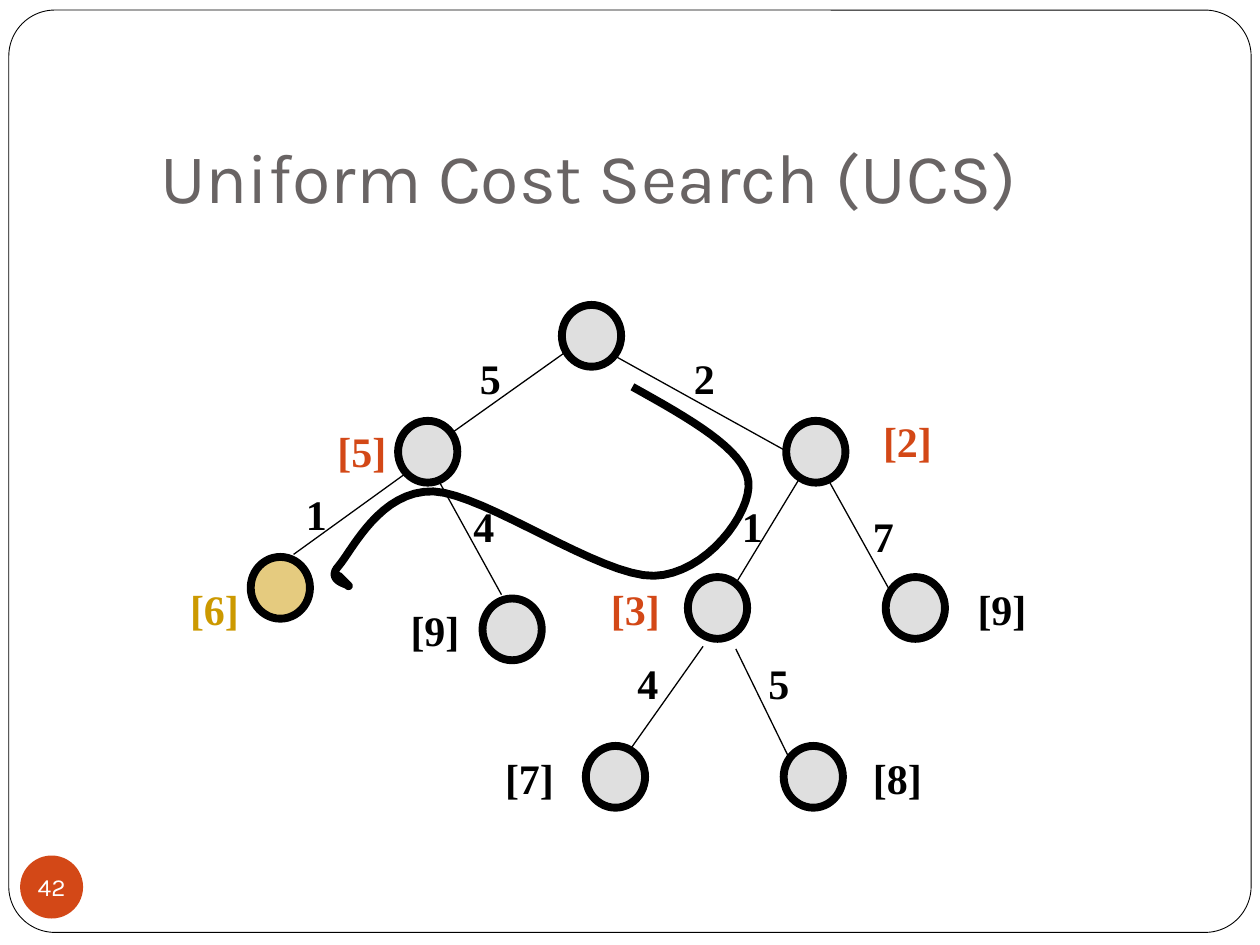
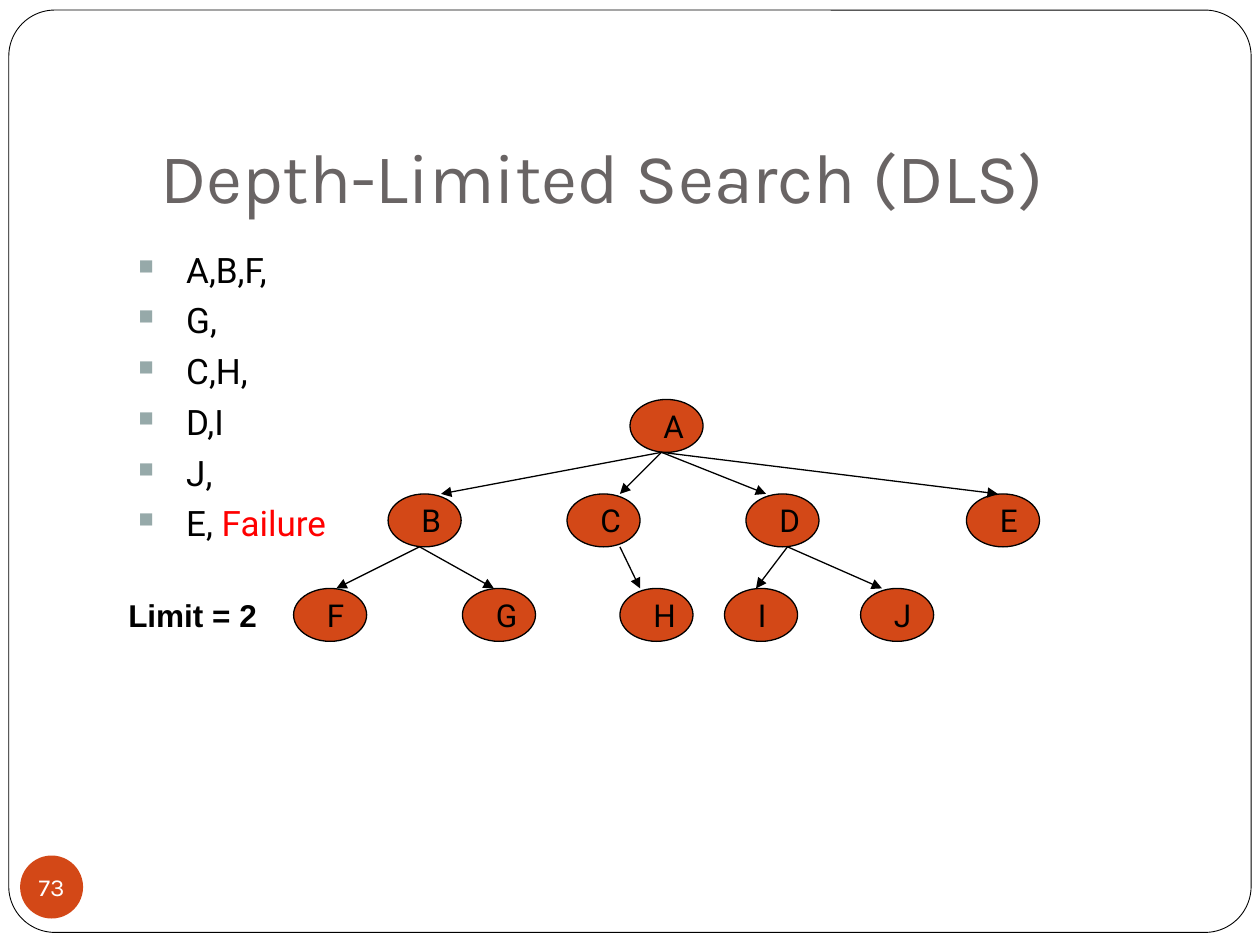
"""Builds two slides on tree search: uniform cost search and depth-limited search."""
import pptx
import pptx.dml.color
import pptx.enum.shapes
import pptx.enum.text
import pptx.oxml.ns
import pptx.util
from lxml import etree

RGB = pptx.dml.color.RGBColor
SHAPE = pptx.enum.shapes.MSO_SHAPE
ANCHOR = pptx.enum.text.MSO_ANCHOR
ALIGN = pptx.enum.text.PP_ALIGN
qn = pptx.oxml.ns.qn

BLACK = RGB(0x00, 0x00, 0x00)
WHITE = RGB(0xFF, 0xFF, 0xFF)
ORANGE = RGB(0xD3, 0x48, 0x17)
GOLD = RGB(0xCC, 0x99, 0x00)
SILVER = RGB(0xC0, 0xC0, 0xC0)
RED = RGB(0xFF, 0x00, 0x00)
TITLE_GRAY = RGB(0x69, 0x64, 0x64)
BULLET_GRAY = "96A9A9"

EMU_PER_PX = 9144
TITLE_INSETS = (10, 5, 10, 10)
TEXT_INSETS = (10, 5, 10, 5)
NO_INSETS = (0, 0, 0, 0)

COST_NODE = (47, 49)
COST_NODES = [
    (446, 242, SILVER), (316, 334, SILVER), (624, 334, SILVER),
    (703, 458, SILVER), (546, 458, SILVER), (622, 592, SILVER),
    (465, 592, SILVER), (199, 442, GOLD), (383, 475, SILVER),
]
COST_EDGES = [
    (448, 280, 358, 344), (635, 379, 584, 463), (658, 382, 707, 470),
    (487, 282, 624, 358), (558, 513, 500, 595), (584, 515, 626, 601),
    (323, 375, 233, 440), (349, 383, 398, 472),
]
STEP_COSTS = [
    ("2", 541, 275), ("5", 371, 275), ("1", 579, 392), ("7", 683, 400),
    ("4", 496, 517), ("5", 600, 517), ("1", 233, 383), ("4", 366, 392),
]
TOTAL_COSTS = [
    ("[5]", 258, 333, ORANGE), ("[2]", 691, 325, ORANGE),
    ("[9]", 766, 458, BLACK), ("[3]", 475, 458, ORANGE),
    ("[7]", 391, 592, BLACK), ("[8]", 683, 592, BLACK),
    ("[9]", 316, 475, BLACK), ("[6]", 141, 458, GOLD),
]
ROUTE_START = (502, 307)
ROUTE_CURVES = [
    ((547, 332), (591, 357), (594, 382)),
    ((597, 407), (560, 456), (519, 457)),
    ((477, 458), (385, 392), (344, 390)),
    ((302, 389), (280, 436), (269, 449)),
    ((258, 461), (277, 464), (277, 465)),
    ((277, 467), (269, 457), (269, 457)),
    ((269, 457), (276, 464), (277, 465)),
]
CURVE_STEPS = 16

VISITS = [
    [("A,B,F,", BLACK)], [("G,", BLACK)], [("C,H,", BLACK)],
    [("D,I", BLACK)], [("J,", BLACK)], [("E, ", BLACK), ("Failure", RED)],
]
DEPTH_NODE = (58, 42)
LEVEL_TOP, LEVEL_GAP = 317, 75
DEPTH_LEVELS = [
    {"A": 500},
    {"B": 308, "C": 450, "D": 592, "E": 767},
    {"F": 233, "G": 367, "H": 492, "I": 575, "J": 683},
]
DEPTH_EDGES = [
    [(525, 350), (525, 492), (525, 608), (525, 792)],
    [(333, 267), (333, 392), (492, 508), (625, 600), (625, 700)],
]


def px(length):
    """Turn px into EMU."""
    return pptx.util.Emu(round(length * EMU_PER_PX))


def add_span(para, text, font, size, color, bold=False):
    """Append one formatted run."""
    span = para.add_run()
    span.text = text
    span.font.name = font
    span.font.size = pptx.util.Pt(size)
    span.font.color.rgb = color
    span.font.bold = bold


def set_frame(box, insets, anchor=ANCHOR.TOP, wrap=True):
    """Set insets, anchor and wrapping, and return the text frame."""
    frame = box.text_frame
    frame.auto_size = pptx.enum.text.MSO_AUTO_SIZE.NONE
    frame.word_wrap = wrap
    frame.vertical_anchor = anchor
    (frame.margin_left, frame.margin_top,
     frame.margin_right, frame.margin_bottom) = map(px, insets)
    return frame


def add_box(page, place, wrap=True):
    """Add a text box and return its frame."""
    return set_frame(page.shapes.add_textbox(*map(px, place)), TEXT_INSETS, wrap=wrap)


def add_preset(page, kind, place, fill, line_width=0):
    """Add a filled preset shape, with a black outline if it has a width."""
    shape = page.shapes.add_shape(kind, *map(px, place))
    shape.shadow.inherit = False
    shape.fill.solid()
    shape.fill.fore_color.rgb = fill
    if line_width:
        shape.line.color.rgb = BLACK
        shape.line.width = pptx.util.Pt(line_width)
    else:
        shape.line.fill.background()
    return shape


def add_edge(page, ends, arrow=False):
    """Add a thin black line, with an arrowhead if asked."""
    edge = page.shapes.add_connector(
        pptx.enum.shapes.MSO_CONNECTOR.STRAIGHT, *map(px, ends))
    edge.line.color.rgb = BLACK
    edge.line.width = pptx.util.Pt(0.75)
    outline = edge.element.spPr.find(qn("a:ln"))
    if arrow:
        etree.SubElement(outline, qn("a:tailEnd"), type="triangle")
    etree.SubElement(edge.element.spPr, qn("a:effectLst"))


def add_page(deck, title, number):
    """Add a slide with the frame, title and number badge."""
    page = deck.slides.add_slide(deck.slide_layouts[5])
    border = add_preset(page, SHAPE.ROUNDED_RECTANGLE, (7, 8, 986, 732), WHITE, 0.5)
    border.adjustments[0] = 0.05
    page.shapes.element.insert(2, border.element)

    heading = page.shapes.title
    heading.left, heading.top, heading.width, heading.height = map(px, (117, 58, 850, 125))
    para = set_frame(heading, TITLE_INSETS, ANCHOR.BOTTOM).paragraphs[0]
    para.alignment = ALIGN.LEFT
    add_span(para, title, "Karla", 40, TITLE_GRAY)

    badge = add_preset(page, SHAPE.OVAL, (16, 679, 50, 50), ORANGE)
    para = set_frame(badge, NO_INSETS, ANCHOR.MIDDLE, wrap=False).paragraphs[0]
    para.alignment = ALIGN.CENTER
    add_span(para, number, "Karla", 14, WHITE)
    return page


def add_route(page):
    """Draw the thick curve that follows the order of expansion."""
    points = [ROUTE_START]
    for first, second, end in ROUTE_CURVES:
        start = points[-1]
        for step in range(1, CURVE_STEPS + 1):
            t = step / CURVE_STEPS
            weights = ((1 - t) ** 3, 3 * t * (1 - t) ** 2, 3 * t * t * (1 - t), t ** 3)
            corners = (start, first, second, end)
            points.append(tuple(
                sum(weight * corner[axis] for weight, corner in zip(weights, corners))
                for axis in (0, 1)))
    outline = [(px(x), px(y)) for x, y in points]
    builder = page.shapes.build_freeform(*outline[0])
    builder.add_line_segments(outline[1:], close=False)
    route = builder.convert_to_shape()
    route.shadow.inherit = False
    route.fill.background()
    route.line.color.rgb = BLACK
    route.line.width = pptx.util.Pt(4.5)


def add_cost_tree(page):
    """Draw the weighted tree with its costs and route."""
    for left, top, fill in COST_NODES:
        node = add_preset(page, SHAPE.OVAL, (left, top, *COST_NODE), fill, 4.5)
        color = node.element.spPr.find(qn("a:solidFill")).find(qn("a:srgbClr"))
        etree.SubElement(color, qn("a:alpha"), val="50000")
    for ends in COST_EDGES:
        add_edge(page, ends)
    labels = [(text, left, top, 36, BLACK) for text, left, top in STEP_COSTS]
    labels += [(text, left, top, 59, color) for text, left, top, color in TOTAL_COSTS]
    for text, left, top, width, color in labels:
        frame = add_box(page, (left, top, width, 50), wrap=False)
        add_span(frame.paragraphs[0], text, "Times New Roman", 24, color, True)
    add_route(page)


def add_visits(page):
    """List the visiting order with square bullets."""
    frame = add_box(page, (100, 192, 850, 92))
    for index, spans in enumerate(VISITS):
        para = frame.add_paragraph() if index else frame.paragraphs[0]
        if index:
            para.space_before = pptx.util.Pt(5)
        props = para._p.get_or_add_pPr()
        props.set("marL", str(px(38)))
        props.set("indent", str(px(-38)))
        color = etree.SubElement(props, qn("a:buClr"))
        etree.SubElement(color, qn("a:srgbClr"), val=BULLET_GRAY)
        etree.SubElement(props, qn("a:buSzPct"), val="60000")
        etree.SubElement(props, qn("a:buChar"), char="■")
        for text, shade in spans:
            add_span(para, text, "Roboto", 20, shade)


def add_depth_tree(page):
    """Draw the lettered tree, level by level."""
    width, height = DEPTH_NODE
    for level, nodes in enumerate(DEPTH_LEVELS):
        top = LEVEL_TOP + level * LEVEL_GAP
        for letter, left in nodes.items():
            node = add_preset(page, SHAPE.OVAL, (left, top, width, height), ORANGE, 0.75)
            frame = set_frame(node, (18, 0, 0, 0), ANCHOR.MIDDLE, wrap=True)
            frame.paragraphs[0].alignment = ALIGN.LEFT
            add_span(frame.paragraphs[0], letter, "Roboto", 18, BLACK)
    for level, edges in enumerate(DEPTH_EDGES):
        top = LEVEL_TOP + level * LEVEL_GAP
        for start, end in edges:
            add_edge(page, (start, top + height, end, top + LEVEL_GAP), arrow=True)


def main():
    """Build and save the deck."""
    deck = pptx.Presentation()
    deck.slide_width, deck.slide_height = px(1000), px(750)

    add_cost_tree(add_page(deck, "Uniform Cost Search (UCS)", "42"))

    page = add_page(deck, "Depth-Limited Search (DLS)", "73")
    add_visits(page)
    add_depth_tree(page)
    limit = add_box(page, (92, 468, 133, 40))
    add_span(limit.paragraphs[0], "Limit = 2", "Arial", 18, BLACK, True)

    deck.save("out.pptx")


if __name__ == "__main__":
    main()
